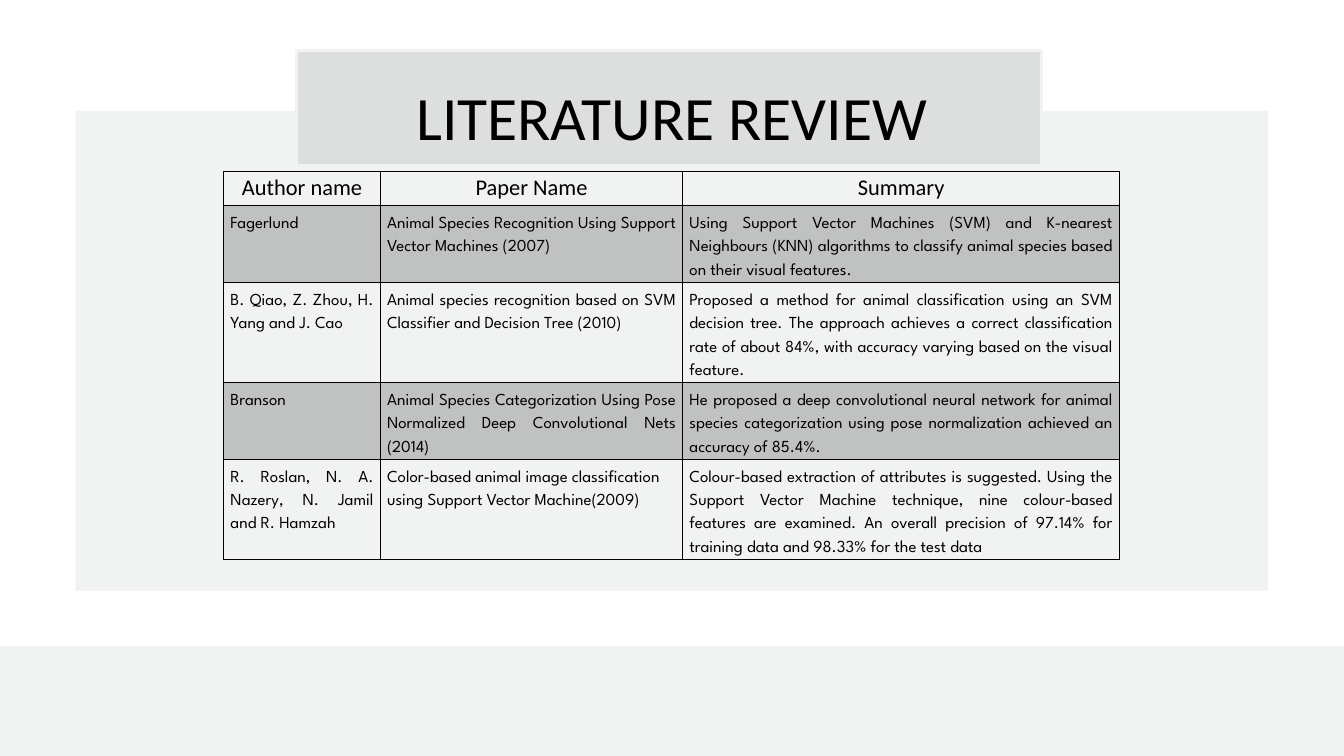
from dataclasses import dataclass

import pptx
import pptx.dml.color
import pptx.enum.shapes
import pptx.enum.text
import pptx.oxml
import pptx.oxml.ns
import pptx.util
from pptx.util import Inches

ALIGN = pptx.enum.text.PP_ALIGN


@dataclass(frozen=True)
class Theme:
    ink: str = "000000"
    panel: str = "F1F2F2"
    banner: str = "DDDEDE"
    heading_font: str = "Calibri"
    body_font: str = "League Spartan"
    title_size: float = 66
    header_size: float = 24
    body_size: float = 18
    title_spacing: float = 92.5
    body_spacing: float = 25
    band_opacity: int = 20
    rule: float = 1
    header_rule: float = 2


@dataclass(frozen=True)
class Panel:
    left: float
    top: float
    width: float
    height: float
    fill: str
    outline: str | None = None


@dataclass(frozen=True)
class Paper:
    author: str
    title: str
    summary: str


THEME = Theme()

PANELS = [
    Panel(1.12, 1.65, 17.75, 7.14, THEME.panel),
    Panel(4.41, 0.75, 11.09, 1.71, THEME.banner, THEME.panel),
    Panel(-0.63, 9.62, 21.84, 2.04, THEME.panel),
]

HEADERS = ["Author name", "Paper Name", "Summary"]
PAPERS = [
    Paper(
        "Fagerlund",
        "Animal Species Recognition Using Support Vector Machines (2007) ",
        "Using Support Vector Machines (SVM) and K-nearest Neighbours (KNN) algorithms "
        "to classify animal species based on their visual features. ",
    ),
    Paper(
        "B. Qiao, Z. Zhou, H. Yang and J. Cao",
        "Animal species recognition based on SVM Classifier and Decision Tree (2010)",
        "Proposed a method for animal classification using an SVM decision tree. "
        "The approach achieves a correct classification rate of about 84%, "
        "with accuracy varying based on the visual feature.",
    ),
    Paper(
        "Branson",
        "Animal Species Categorization Using Pose Normalized Deep Convolutional Nets (2014)",
        "He proposed a deep convolutional neural network for animal species categorization "
        "using pose normalization achieved an accuracy of 85.4%.",
    ),
    Paper(
        "R. Roslan, N. A. Nazery, N. Jamil and R. Hamzah",
        "Color-based animal image classification\nusing Support Vector Machine(2009)",
        "Colour-based extraction of attributes is suggested. Using the Support Vector Machine "
        "technique, nine colour-based features are examined. An overall precision of 97.14% "
        "for training data and 98.33% for the test data",
    ),
]
COLUMN_WIDTHS = [2.33, 4.5, 6.5]
ROW_HEIGHTS = [0.51, 1.14, 1.49, 1.14, 1.49]


def color(value: str) -> pptx.dml.color.RGBColor:
    return pptx.dml.color.RGBColor.from_string(value)


def write_text(text_frame, text: str, font: str, size: float, align, spacing: float | None = None) -> None:
    text_frame.text = text
    for paragraph in text_frame.paragraphs:
        paragraph.alignment = align
        if spacing:
            paragraph.line_spacing = pptx.util.Pt(spacing)
        paragraph.font.name = font
        paragraph.font.size = pptx.util.Pt(size)
        paragraph.font.color.rgb = color(THEME.ink)


def draw_panel(slide, panel: Panel) -> None:
    shape = slide.shapes.add_shape(
        pptx.enum.shapes.MSO_SHAPE.RECTANGLE,
        Inches(panel.left), Inches(panel.top), Inches(panel.width), Inches(panel.height),
    )
    shape.shadow.inherit = False
    shape.fill.solid()
    shape.fill.fore_color.rgb = color(panel.fill)
    if panel.outline:
        shape.line.color.rgb = color(panel.outline)
        shape.line.width = pptx.util.Pt(3)
    else:
        shape.line.fill.background()


def draw_title(slide, text: str) -> None:
    box = slide.shapes.add_textbox(Inches(4.97), Inches(0.99), Inches(10.06), Inches(1.2))
    frame = box.text_frame
    frame.word_wrap = True
    frame.margin_left = frame.margin_top = frame.margin_right = frame.margin_bottom = 0
    write_text(frame, text, THEME.heading_font, THEME.title_size, ALIGN.CENTER, THEME.title_spacing)


def set_borders(cell, top: float, bottom: float) -> None:
    """Rule all four sides; the schema wants the lines ahead of the fill."""
    properties = cell._tc.get_or_add_tcPr()
    widths = {"lnL": THEME.rule, "lnR": THEME.rule, "lnT": top, "lnB": bottom}
    for index, (side, width) in enumerate(widths.items()):
        line = pptx.oxml.parse_xml(
            f'<a:{side} {pptx.oxml.ns.nsdecls("a")} w="{pptx.util.Pt(width)}">'
            f'<a:solidFill><a:srgbClr val="{THEME.ink}"/></a:solidFill></a:{side}>'
        )
        properties.insert(index, line)


def set_fill(cell, banded: bool) -> None:
    if not banded:
        cell.fill.background()
        return
    cell.fill.solid()
    cell.fill.fore_color.rgb = color(THEME.ink)
    tint = cell._tc.tcPr.find(".//" + pptx.oxml.ns.qn("a:solidFill") + "[last()]")
    tint = cell._tc.tcPr.find(pptx.oxml.ns.qn("a:solidFill"))[0]
    alpha = pptx.oxml.parse_xml(
        f'<a:alpha {pptx.oxml.ns.nsdecls("a")} val="{THEME.band_opacity * 1000}"/>'
    )
    tint.append(alpha)


def draw_review_table(slide) -> None:
    rows = [HEADERS] + [[paper.author, paper.title, paper.summary] for paper in PAPERS]
    table = slide.shapes.add_table(
        len(rows), len(HEADERS), Inches(3.33), Inches(2.55),
        Inches(sum(COLUMN_WIDTHS)), Inches(sum(ROW_HEIGHTS)),
    ).table
    table.first_row = table.horz_banding = False
    for column, width in zip(table.columns, COLUMN_WIDTHS):
        column.width = Inches(width)
    for row, height in zip(table.rows, ROW_HEIGHTS):
        row.height = Inches(height)

    for row_index, texts in enumerate(rows):
        is_header = row_index == 0
        top = THEME.header_rule if row_index == 1 else THEME.rule
        bottom = THEME.header_rule if is_header else THEME.rule
        for column_index, text in enumerate(texts):
            cell = table.cell(row_index, column_index)
            if is_header:
                write_text(cell.text_frame, text, THEME.heading_font, THEME.header_size, ALIGN.CENTER)
            else:
                write_text(cell.text_frame, text, THEME.body_font, THEME.body_size,
                           ALIGN.JUSTIFY, THEME.body_spacing)
            set_fill(cell, banded=row_index % 2 == 1)
            set_borders(cell, top, bottom)


def main() -> None:
    presentation = pptx.Presentation()
    presentation.slide_width = Inches(20)
    presentation.slide_height = Inches(11.25)
    slide = presentation.slides.add_slide(presentation.slide_layouts[6])
    for panel in PANELS:
        draw_panel(slide, panel)
    draw_title(slide, "LITERATURE REVIEW")
    draw_review_table(slide)
    presentation.save("out.pptx")


if __name__ == "__main__":
    main()
